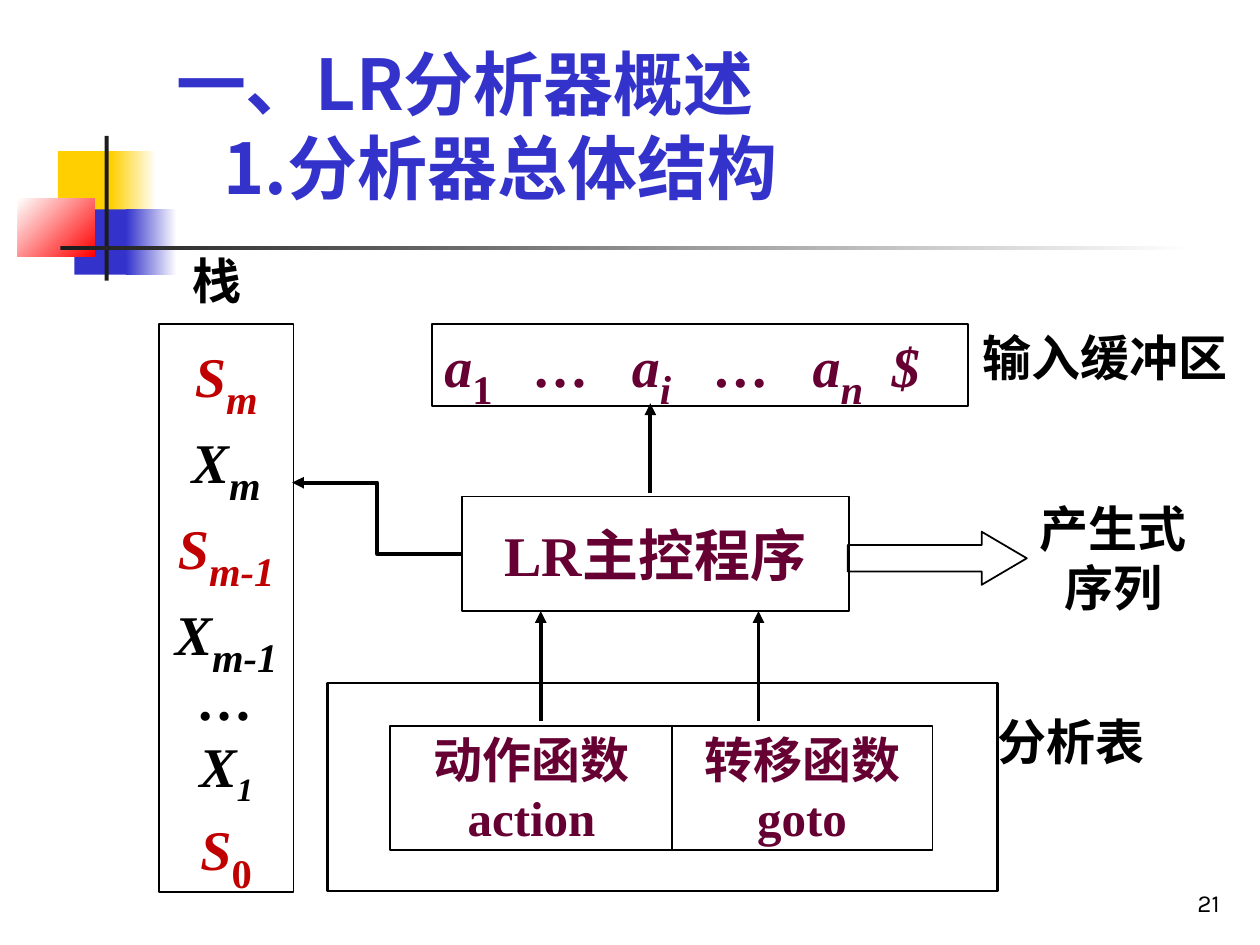
from lxml import etree
from pptx import Presentation
from pptx.dml.color import RGBColor
from pptx.enum.shapes import MSO_CONNECTOR as CONNECTOR, MSO_SHAPE as SHAPE
from pptx.enum.text import MSO_ANCHOR as ANCHOR, PP_ALIGN as ALIGN
from pptx.oxml.ns import qn
from pptx.util import Cm, Pt

COLORS = {
    "black": "000000", "white": "FFFFFF", "plum": "660033", "crimson": "C00000",
    "blue": "3333CC", "yellow": "FFCF01", "red": "FF0000", "ink": "1C1C1C",
}
SERIF, SANS, NUMBER = "Times New Roman", "Noto Sans CJK JP", "Karla"


def rgb(name):
    return RGBColor.from_string(COLORS[name])


def add_box(slide, box, fill=None, line=None, kind=SHAPE.RECTANGLE):
    """Add a shape; a pair of colours as fill makes a gradient."""
    shape = slide.shapes.add_shape(kind, *map(Cm, box))
    shape.shadow.inherit = False
    if fill is None:
        shape.fill.background()
    elif isinstance(fill, tuple):
        shape.fill.gradient()
        shape.fill.gradient_angle = 0
        for stop, color in zip(shape.fill.gradient_stops, fill):
            stop.color.rgb = rgb(color)
    else:
        shape.fill.solid()
        shape.fill.fore_color.rgb = rgb(fill)
    if line:
        shape.line.color.rgb = rgb("black")
        shape.line.width = Pt(line)
    else:
        shape.line.fill.background()
    return shape


def style(paragraph, size, color, font=SERIF, align=ALIGN.CENTER, bold=True):
    paragraph.alignment = align
    paragraph.font.name = font
    paragraph.font.size = Pt(size)
    paragraph.font.bold = bold
    paragraph.font.color.rgb = rgb(color)


def write(shape, lines, size, color, anchor=ANCHOR.MIDDLE, **options):
    frame = shape.text_frame
    frame.word_wrap = False
    frame.vertical_anchor = anchor
    frame.text = "\n".join(lines)
    for paragraph in frame.paragraphs:
        style(paragraph, size, color, **options)
    return frame


def add_label(slide, box, lines, size=28, color="black", anchor=ANCHOR.TOP, **options):
    text_box = slide.shapes.add_textbox(*map(Cm, box))
    return write(text_box, lines, size, color, anchor, **options)


def add_symbol(paragraph, letter, index="", index_size=40, upright=False):
    """Add an italic letter and its subscript."""
    paragraph.add_run().text = letter
    if index:
        run = paragraph.add_run()
        run.text = index
        run.font.size = Pt(index_size)
        run._r.get_or_add_rPr().set("baseline", "-25000")
        if upright:
            run.font.italic = False


def add_arrow(slide, start, end, kind=CONNECTOR.STRAIGHT, tip="tailEnd"):
    connector = slide.shapes.add_connector(kind, *map(Cm, start + end))
    connector.line.color.rgb = rgb("black")
    connector.line.width = Pt(2.25)
    etree.SubElement(connector.line._get_or_add_ln(), qn("a:" + tip), type="triangle")
    etree.SubElement(connector._element.spPr, qn("a:effectLst"))
    return connector


def add_decoration(slide, left, top):
    def block(x, y, width, height, fill):
        return add_box(slide, (left + x, top + y, width, height), fill)

    block(0.81, 0.31, 1.22, 1.32, "yellow")
    block(1.88, 0.31, 0.91, 1.32, ("yellow", "white"))
    block(1.14, 1.48, 1.17, 1.32, "blue")
    block(2.18, 1.48, 1.02, 1.32, ("blue", "white"))
    block(0, 1.27, 1.55, 1.17, ("white", "red")).fill.gradient_angle = 315
    block(1.75, 0, 0.08, 2.92, "ink")
    block(0.86, 2.21, 22.86, 0.09, ("ink", "white"))


def add_title(slide, box):
    frame = add_label(slide, box, ["一、LR分析器概述", "1.分析器总体结构"], 40, "blue",
                      ANCHOR.MIDDLE, font=SANS, align=ALIGN.LEFT)
    frame.word_wrap = True
    frame.margin_bottom = Cm(1.82)
    frame.paragraphs[1]._p.get_or_add_pPr().set("marL", str(Cm(0.96)))


def add_input_buffer(slide, box):
    left, top, width, height = box
    frame = add_box(slide, box, line=1).text_frame
    frame.word_wrap = True
    frame.vertical_anchor = ANCHOR.MIDDLE
    paragraph = frame.paragraphs[0]
    tabs = etree.SubElement(paragraph._p.get_or_add_pPr(), qn("a:tabLst"))
    for position in (1.81, 3.78, 5.44, 7.42, 9.02):
        etree.SubElement(tabs, qn("a:tab"), pos=str(Cm(position)), algn="l")
    style(paragraph, 32, "plum", align=ALIGN.LEFT)
    paragraph.font.italic = True
    add_symbol(paragraph, "a", "1", upright=True)
    add_symbol(paragraph, "\t…\ta", "i")
    add_symbol(paragraph, "\t…\ta", "n")
    add_symbol(paragraph, "\t$")
    add_label(slide, (left + width + 0.05, top - 0.05, 5.46, 1.45), ["输入缓冲区"],
              align=ALIGN.LEFT)


def add_stack(slide, box):
    left, top, width, height = box
    add_label(slide, (left + 0.43, top - 1.6, 1.52, 1.45), ["栈"],
              font=SANS, align=ALIGN.LEFT)
    frame = add_box(slide, box, line=1).text_frame
    frame.word_wrap = False
    frame.vertical_anchor = ANCHOR.MIDDLE
    symbols = [("S", "m"), ("X", "m"), ("S", "m-1"), ("X", "m-1"),
               ("…", ""), ("X", "1", 32), ("S", "0", 40, True)]
    for number, symbol in enumerate(symbols):
        paragraph = frame.add_paragraph() if number else frame.paragraphs[0]
        paragraph.line_spacing = 0.9
        style(paragraph, 32, "crimson" if symbol[0] == "S" else "black")
        paragraph.font.italic = True
        add_symbol(paragraph, *symbol)


def add_control_program(slide, box):
    left, top, width, height = box
    program = add_box(slide, box, line=1)
    write(program, ["LR主控程序"], 32, "plum")
    output = add_box(slide, (left + width - 0.03, top + 0.71, 3.61, 1.07),
                     line=1, kind=SHAPE.RIGHT_ARROW)
    output.adjustments[0], output.adjustments[1] = 0.5, 0.85
    add_label(slide, (left + 11.38, top - 0.08, 3.48, 2.62), ["产生式", "序列"])
    return program


def add_parsing_table(slide, box):
    left, top, width, height = box
    add_box(slide, box, line=1.5)
    for x, cell_width, lines in [(1.27, 5.69, ["动作函数", "action"]),
                                 (6.94, 5.26, ["转移函数", "goto"])]:
        cell = add_box(slide, (left + x, top + 0.86, cell_width, 2.51), line=1)
        write(cell, lines, 28, "plum")
    add_label(slide, (left + width - 0.25, top + 0.45, 3.48, 1.45), ["分析表"],
              align=ALIGN.LEFT)


def add_flow(slide, program):
    to_stack = add_arrow(slide, (5.89, 9.73), (9.32, 11.17), CONNECTOR.ELBOW, "headEnd")
    to_stack.end_connect(program, 1)
    for x, start, end in [(13.11, 9.93, 8.13), (10.9, 14.53, 12.32), (15.29, 14.53, 12.32)]:
        add_arrow(slide, (x, start), (x, end))


def main():
    presentation = Presentation()
    presentation.slide_width, presentation.slide_height = Cm(25.4), Cm(19.05)
    slide = presentation.slides.add_slide(presentation.slide_layouts[6])
    add_decoration(slide, 0.36, 2.74)
    add_label(slide, (19.56, 17.35, 5.28, 1.27), ["21"], 14, anchor=ANCHOR.BOTTOM,
              font=NUMBER, align=ALIGN.RIGHT, bold=False).word_wrap = True
    add_title(slide, (3.3, 2.31, 16.13, 2.11))
    add_input_buffer(slide, (8.71, 6.53, 10.8, 1.65))
    program = add_control_program(slide, (9.32, 10.01, 7.8, 2.31))
    add_parsing_table(slide, (6.6, 13.77, 13.51, 4.19))
    add_stack(slide, (3.2, 6.53, 2.72, 11.46))
    add_flow(slide, program)
    presentation.save("out.pptx")


if __name__ == "__main__":
    main()
